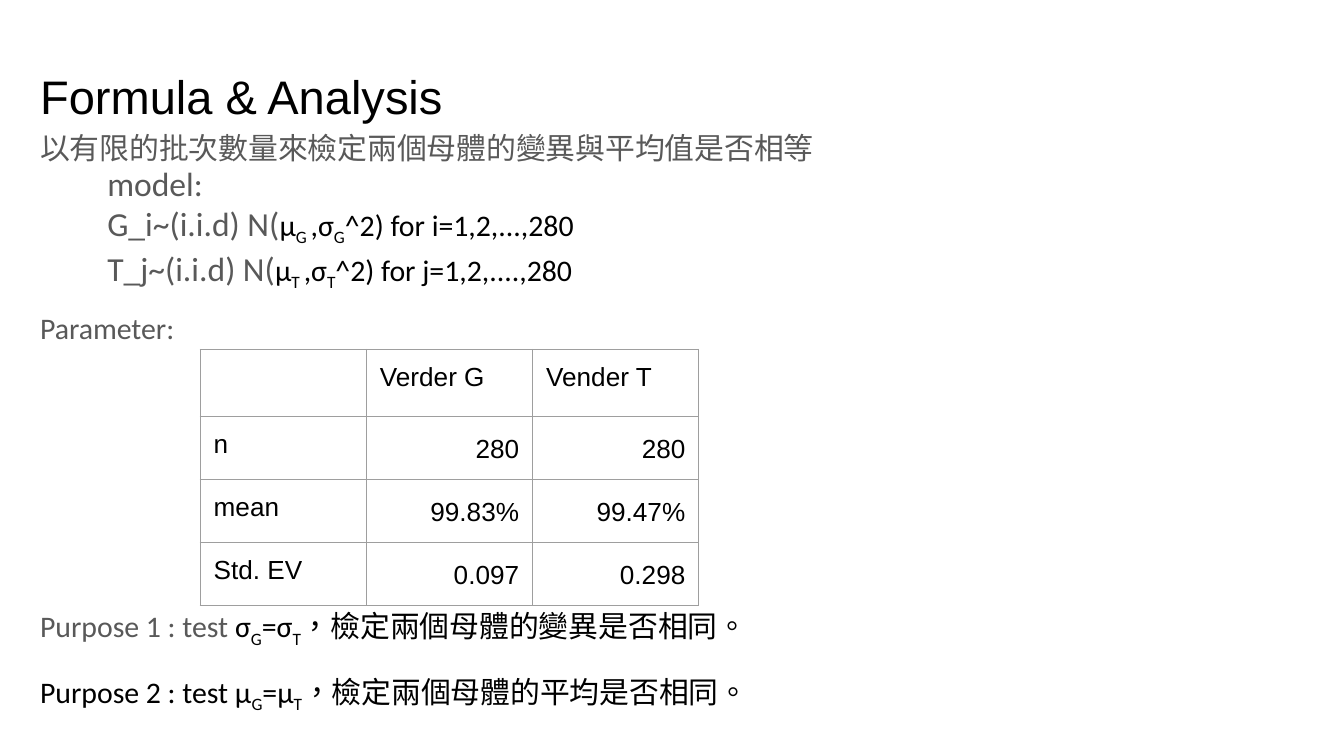
from dataclasses import dataclass

from lxml.etree import SubElement
from pptx import Presentation
from pptx.dml.color import RGBColor
from pptx.enum.lang import MSO_LANGUAGE_ID as Language
from pptx.enum.text import MSO_ANCHOR as Anchor, PP_ALIGN as Align
from pptx.oxml.ns import qn
from pptx.util import Inches, Pt


@dataclass(frozen=True)
class Theme:
    heading_font: str = "Arial"
    body_font: str = "Calibri"
    black: str = "000000"
    grey: str = "595959"
    border: str = "9E9E9E"
    title_size: float = 25.2
    model_size: float = 18
    body_size: float = 16
    table_size: float = 14
    border_width: float = 0.75


THEME = Theme()

# Style name: font, size, colour
STYLES = {
    "title": (THEME.heading_font, THEME.title_size, THEME.black),
    "table": (THEME.heading_font, THEME.table_size, THEME.black),
    "model": (THEME.body_font, THEME.model_size, THEME.grey),
    "body": (THEME.body_font, THEME.body_size, THEME.grey),
    "math": (THEME.body_font, THEME.body_size, THEME.black),
    "sub": (THEME.body_font, THEME.body_size, THEME.black),
    "chinese": (THEME.body_font, THEME.body_size, THEME.black),
    "lead": (THEME.body_font, THEME.body_size, THEME.grey),
}
CHINESE_STYLES = ("chinese", "lead")


def distribution(variable, vendor, tail):
    return [(f"{variable}~(i.i.d) N(", "model"), ("μ", "math"), (f"{vendor} ", "sub"),
            (",σ", "math"), (vendor, "sub"), (f"^2) for {tail}", "math")]


def purpose(opening, symbol, aim):
    return [*opening, (symbol, "math"), ("G", "sub"), (f"={symbol}", "math"),
            ("T", "sub"), (f"，檢定兩個母體的{aim}是否相同。", "chinese")]


TITLE = [[("Formula & Analysis", "title")]]
SUMMARY = [[("以有限的批次數量來檢定兩個母體的變異與平均值是否相等", "lead")]]
MODEL = [
    [("model:", "model")],
    distribution("G_i", "G", "i=1,2,...,280"),
    distribution("T_j", "T", "j=1,2,....,280"),
]
PARAMETER = [[("Parameter:", "body")]]
PURPOSES = [
    purpose([("Purpose 1 : test ", "body")], "σ", "變異"),
    purpose([("Purpose 2 : test ", "math")], "μ", "平均"),
]
STATISTICS = [
    ("", "Verder G", "Vender T"),
    ("n", "280", "280"),
    ("mean", "99.83%", "99.47%"),
    ("Std. EV", "0.097", "0.298"),
]

SLIDE_WIDTH = 10
SLIDE_HEIGHT = SLIDE_WIDTH * 9 / 16
MARGIN = 0.2
INSET = Inches(0.1)
TABLE_LEFT, TABLE_TOP, TABLE_WIDTH = 1.49, 2.6, 3.71
ROW_HEIGHT = 0.37  # minimum; rows grow to fit their text


def add_span(para, text, style):
    span = para.add_run()
    span.text = text
    name, size, colour = STYLES[style]
    span.font.name, span.font.size = name, Pt(size)
    span.font.color.rgb = RGBColor.from_string(colour)
    if style == "sub":
        span.font._element.set("baseline", "-25000")
    if style in CHINESE_STYLES:
        span.font.language_id = Language.TRADITIONAL_CHINESE


def add_text(page, place, lines, spacing=1.0, gap=0, anchor=Anchor.TOP):
    """Add a text box; gap is the space in points between its paragraphs."""
    box = page.shapes.add_textbox(*map(Inches, place))
    frame = box.text_frame
    frame.word_wrap = True
    frame.vertical_anchor = anchor
    frame.margin_left = frame.margin_right = INSET
    frame.margin_top = frame.margin_bottom = INSET
    for index, spans in enumerate(lines):
        para = frame.paragraphs[0] if index == 0 else frame.add_paragraph()
        para.line_spacing = spacing
        para.space_before = Pt(gap if index else 0)
        for text, style in spans:
            add_span(para, text, style)


def set_borders(cell):
    properties = cell._tc.get_or_add_tcPr()
    for side in ("lnL", "lnR", "lnT", "lnB"):
        line = SubElement(properties, qn(f"a:{side}"), w=str(Pt(THEME.border_width)))
        fill = SubElement(line, qn("a:solidFill"))
        SubElement(fill, qn("a:srgbClr"), val=THEME.border)


def add_statistics(page):
    rows, columns = len(STATISTICS), len(STATISTICS[0])
    place = (TABLE_LEFT, TABLE_TOP, TABLE_WIDTH, rows * ROW_HEIGHT)
    table = page.shapes.add_table(rows, columns, *map(Inches, place)).table
    for row, values in enumerate(STATISTICS):
        for column, value in enumerate(values):
            cell = table.cell(row, column)
            set_borders(cell)
            cell.fill.background()
            cell.margin_left = cell.margin_right = INSET
            cell.margin_top = cell.margin_bottom = INSET
            para = cell.text_frame.paragraphs[0]
            if row and column:
                para.alignment = Align.RIGHT
                para.line_spacing = 1.15
            if value:
                add_span(para, value, "table")


def main():
    deck = Presentation()
    deck.slide_width, deck.slide_height = Inches(SLIDE_WIDTH), Inches(SLIDE_HEIGHT)
    page = deck.slides.add_slide(deck.slide_layouts[6])
    add_text(page, (MARGIN, 0.39, 9.32, 0.63), TITLE, anchor=Anchor.BOTTOM)
    add_text(page, (MARGIN, 0.85, 9.45, 0.5), SUMMARY, spacing=1.05)
    add_text(page, (MARGIN, 2.19, 1.3, 0.5), PARAMETER, spacing=1.05)
    add_text(page, (MARGIN, 4.41, 9.45, 1.0), PURPOSES, spacing=1.05, gap=12)
    add_statistics(page)
    add_text(page, (0.7, 1.11, 5.5, 1.32), MODEL)
    deck.save("out.pptx")


if __name__ == "__main__":
    main()
